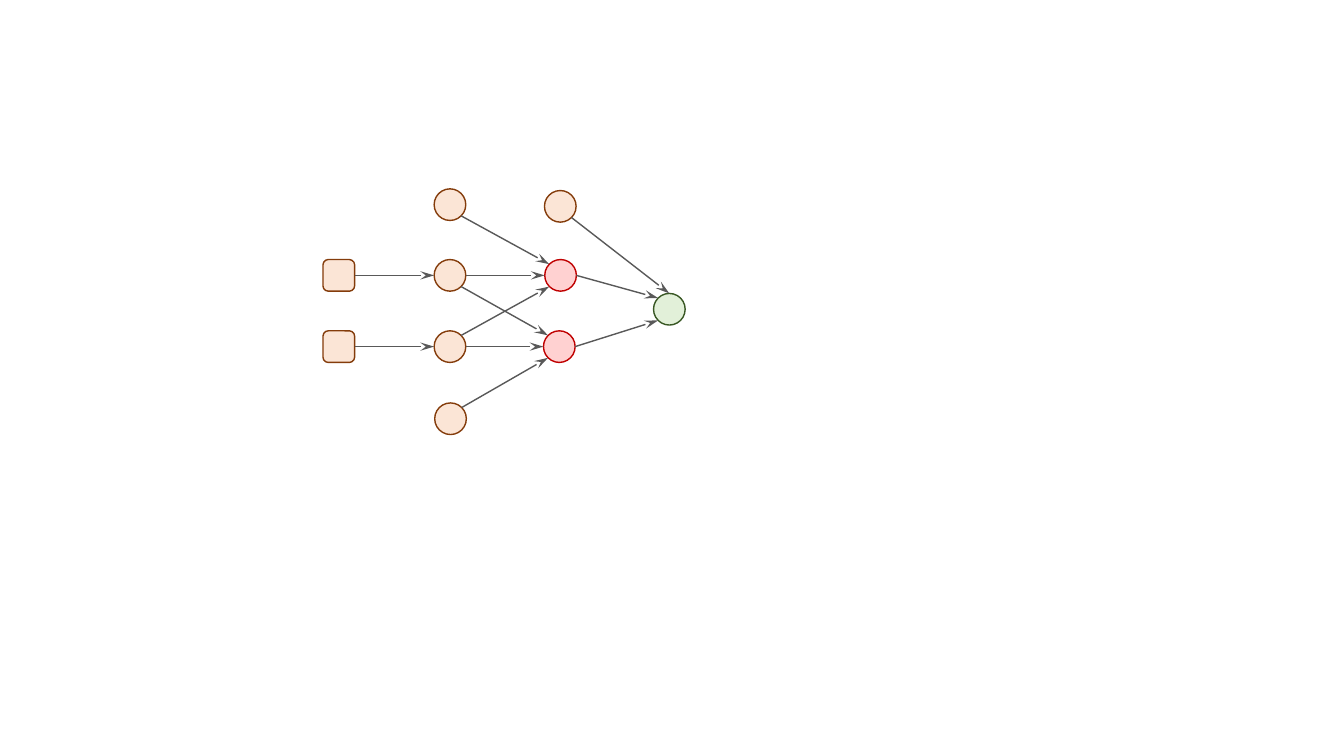
import math

import pptx
import pptx.dml.color
import pptx.enum.shapes
import pptx.oxml.ns
import pptx.util
from lxml import etree

Pt = pptx.util.Pt
RGB = pptx.dml.color.RGBColor.from_string
MSO = pptx.enum.shapes.MSO_SHAPE

THEME = {
    "peach": ("FBE5D6", "843C0B"),
    "red": ("FFD1D1", "C00000"),
    "green": ("E2F0D9", "385723"),
    "arrow": "595959",
    "line": 1,
}
SIZE = 22.6  # width and height of every node
COL_IN, COL_1, COL_2, COL_OUT = 242, 321.4, 400.2, 478.1
BIAS, ROW_1, ROW_2, BOTTOM = 146.2, 196.7, 247.6, 299.1

# Directions in degrees, clockwise from the right
RIGHT, BOTTOM_RIGHT, BOTTOM_LEFT, LEFT = 0, 45, 135, 180
TOP_LEFT, TOP, TOP_RIGHT = 225, 270, 315


def rim(name, angle):
    """Point on the edge of a node in the given direction."""
    x, y = nodes[name][1:3]
    a = math.radians(angle)
    return Pt(x + SIZE / 2 * math.cos(a)), Pt(y + SIZE / 2 * math.sin(a))


def set_line(line, color):
    line.color.rgb = RGB(color)
    for key, value in {"width": Pt(THEME["line"])}.items():
        setattr(line, key, value)


prs = pptx.Presentation()
for key, value in {"slide_width": Pt(960), "slide_height": Pt(540)}.items():
    setattr(prs, key, value)
s = prs.slides.add_slide(prs.slide_layouts[6])

# Nodes: shape, centre x, centre y, colours
nodes = {
    "input 1": (MSO.ROUNDED_RECTANGLE, COL_IN, ROW_1, "peach"),
    "input 2": (MSO.ROUNDED_RECTANGLE, COL_IN, ROW_2, "peach"),
    "bias 1": (MSO.OVAL, COL_1, BIAS, "peach"),
    "unit 1": (MSO.OVAL, COL_1, ROW_1, "peach"),
    "unit 2": (MSO.OVAL, COL_1, ROW_2, "peach"),
    "bias 2": (MSO.OVAL, COL_1 + 0.4, BOTTOM, "peach"),
    "red 1": (MSO.OVAL, COL_2 + 0.2, ROW_1, "red"),
    "red 2": (MSO.OVAL, COL_2 - 0.7, ROW_2, "red"),
    "bias 3": (MSO.OVAL, COL_2, BIAS + 1.2, "peach"),
    "output": (MSO.OVAL, COL_OUT, 220.9, "green"),
}
shapes = {}
for name, (kind, x, y, color) in nodes.items():
    sp = s.shapes.add_shape(kind, Pt(x - SIZE / 2), Pt(y - SIZE / 2), Pt(SIZE), Pt(SIZE))
    fill, outline = THEME[color]
    sp.shadow.inherit = False
    sp.fill.solid()
    sp.fill.fore_color.rgb = RGB(fill)
    set_line(sp.line, outline)
    shapes[name] = sp

# Arrows: from node, side, to node, side
arrows = [
    ("input 1", RIGHT, "unit 1", LEFT),
    ("input 2", RIGHT, "unit 2", LEFT),
    ("bias 1", BOTTOM_RIGHT, "red 1", TOP_LEFT),
    ("unit 1", RIGHT, "red 1", LEFT),
    ("unit 2", TOP_RIGHT, "red 1", BOTTOM_LEFT),
    ("unit 1", BOTTOM_RIGHT, "red 2", TOP_LEFT),
    ("unit 2", RIGHT, "red 2", LEFT),
    ("bias 2", TOP_RIGHT, "red 2", BOTTOM_LEFT),
    ("bias 3", BOTTOM_RIGHT, "output", TOP),
    ("red 1", RIGHT, "output", TOP_LEFT),
    ("red 2", RIGHT, "output", BOTTOM_LEFT),
]
qn = pptx.oxml.ns.qn
for start, start_side, end, end_side in arrows:
    c = s.shapes.add_connector(
        pptx.enum.shapes.MSO_CONNECTOR.STRAIGHT, *rim(start, start_side), *rim(end, end_side)
    )
    if nodes[start][0] == MSO.ROUNDED_RECTANGLE:
        c.begin_connect(shapes[start], 3)
    set_line(c.line, THEME["arrow"])
    spPr = c._element.spPr
    etree.SubElement(spPr.find(qn("a:ln")), qn("a:tailEnd"), type="stealth", w="med", len="lg")
    etree.SubElement(spPr, qn("a:effectLst"))

prs.save("out.pptx")
